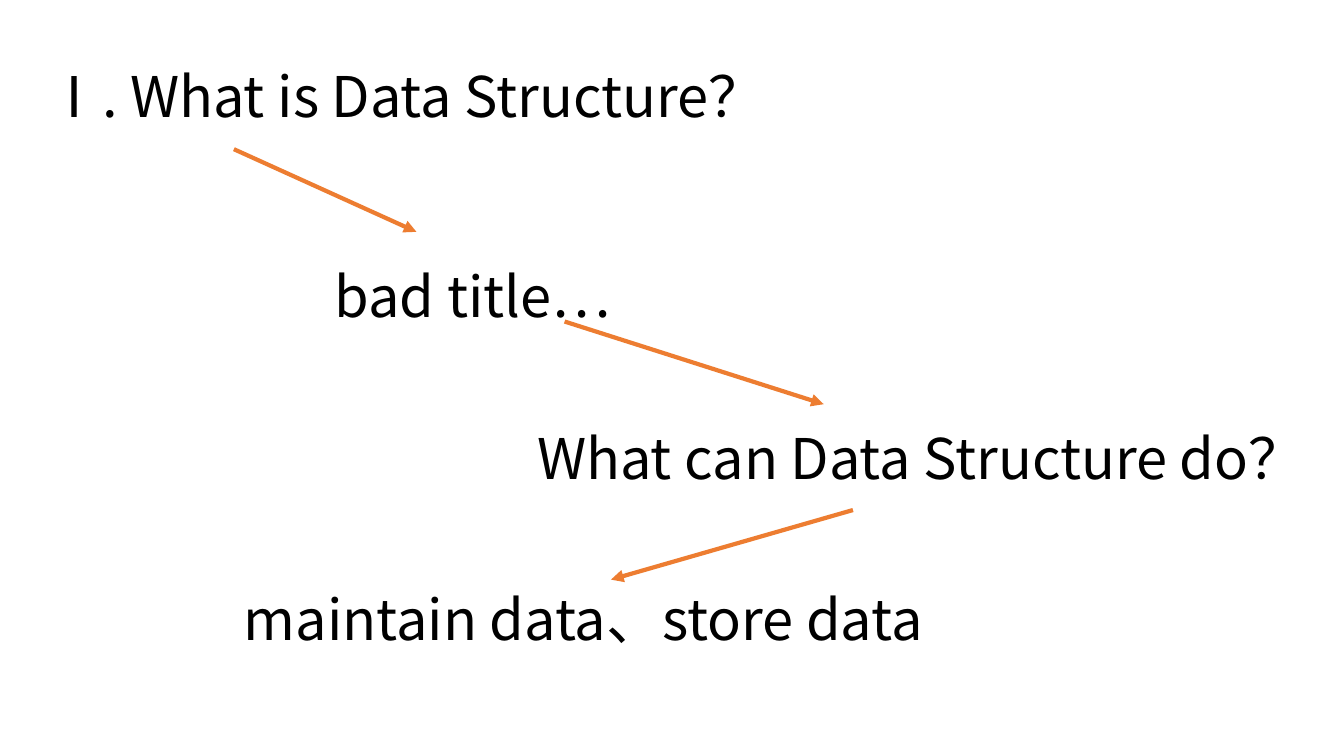
from pptx import Presentation
from pptx import util as u
from pptx.dml.color import RGBColor
from pptx.enum import shapes, text
from pptx.oxml.ns import qn
from lxml import etree

# Content: text, left, top, width
LINES = [
    ("Ⅰ. What is Data Structure？", 0.36, 0.56, 8.1),
    ("bad title…", 3.22, 2.55, 3.45),
    ("What can Data Structure do？", 5.23, 4.15, 8.1),
    ("maintain data、store data", 2.32, 5.75, 8.1),
]
# Arrows: start and end points
ARROWS = [
    ((2.32, 1.48), (4.13, 2.3)),
    ((5.6, 3.19), (8.17, 4.01)),
    ((8.46, 5.06), (6.06, 5.75)),
]
THEME = {
    "font": "Noto Sans CJK JP",
    "size": 40,
    "ink": RGBColor.from_string("000000"),
    "arrow": RGBColor.from_string("ED7D31"),
    "weight": 3,
}
HIGH = 0.77


def add_text(slide, words, *, left, top, width, height=HIGH,
             size=THEME["size"], color=THEME["ink"], face=THEME["font"]):
    box = slide.shapes.add_textbox(*map(u.Inches, (left, top, width, height)))
    frame = box.text_frame
    frame.word_wrap = True
    frame.auto_size = text.MSO_AUTO_SIZE.SHAPE_TO_FIT_TEXT
    run = frame.paragraphs[0].add_run()
    run.text = words
    font = run.font
    font.name, font.size = face, u.Pt(size)
    font.color.rgb = color
    # East Asian characters take the same face
    etree.SubElement(run._r.get_or_add_rPr(), qn("a:ea"), typeface=face)


def add_arrow(slide, start, end):
    line = slide.shapes.add_connector(
        shapes.MSO_CONNECTOR.STRAIGHT, *map(u.Inches, start + end))
    line.line.color.rgb = THEME["arrow"]
    line.line.width = u.Pt(THEME["weight"])
    etree.SubElement(line.line._get_or_add_ln(), qn("a:tailEnd"), type="triangle")
    etree.SubElement(line._element.spPr, qn("a:effectLst"))


def main():
    deck = Presentation()
    deck.slide_width, deck.slide_height = u.Inches(13.33), u.Inches(7.5)
    slide = deck.slides.add_slide(deck.slide_layouts[6])
    # Questions and answers
    for words, left, top, width in LINES:
        add_text(slide, words, left=left, top=top, width=width)
    # Arrows from each line to the next
    for start, end in ARROWS:
        add_arrow(slide, start, end)
    deck.save("out.pptx")


if __name__ == "__main__":
    main()
